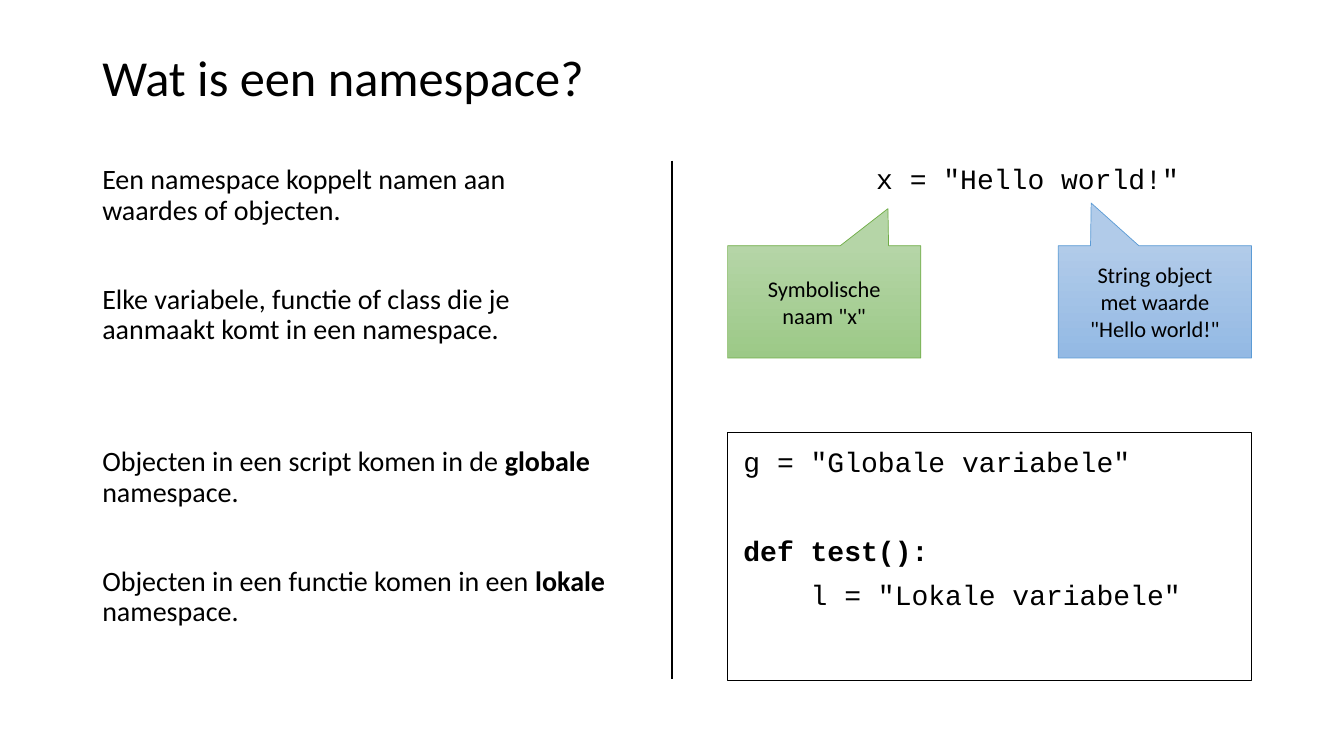
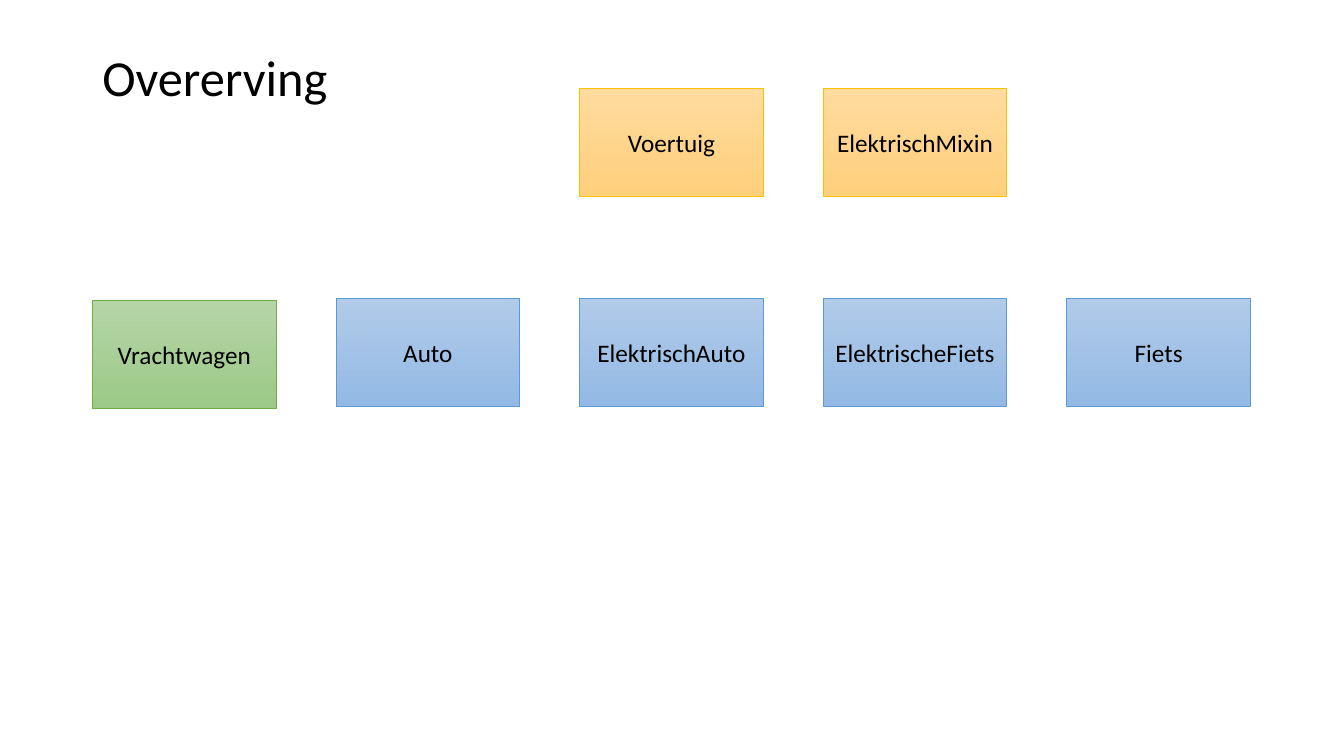
from lxml import etree
from pptx import Presentation
from pptx.dml.color import RGBColor
from pptx.enum.shapes import MSO_CONNECTOR, MSO_SHAPE
from pptx.enum.text import MSO_ANCHOR, PP_ALIGN
from pptx.oxml.ns import qn
from pptx.util import Pt

PX = 9525  # 96 px to the inch
LEFT, CENTER = PP_ALIGN.LEFT, PP_ALIGN.CENTER
TOP, MIDDLE = MSO_ANCHOR.TOP, MSO_ANCHOR.MIDDLE
RECT, CALLOUT = MSO_SHAPE.RECTANGLE, MSO_SHAPE.RECTANGULAR_CALLOUT
BODY_FONT, CODE_FONT = "Calibri", "Courier New"
COLORS = {
    "text": "000000",
    "green": ("B5D5A7", "9CC987", "70AD47"),
    "blue": ("B1CBE9", "93B9E4", "5B9BD5"),
    "gold": ("FFDB9E", "FFD07C", "FFC000"),
}


def write(sp, paragraphs, size, font=BODY_FONT, align=LEFT, anchor=TOP, spacing=0.9):
    """Fill sp with paragraphs, each (space before, [(text, bold), ...])."""
    tf = sp.text_frame
    tf.word_wrap = True
    tf.vertical_anchor = anchor
    for i, (before, runs) in enumerate(paragraphs):
        p = tf.paragraphs[0] if i == 0 else tf.add_paragraph()
        p.alignment = align
        p.line_spacing = spacing
        p.space_before = Pt(before)
        p.font.size = Pt(size)
        p.font.name = font
        p.font.color.rgb = RGBColor.from_string(COLORS["text"])
        for text, bold in runs:
            r = p.add_run()
            r.text = text
            if bold:
                r.font.bold = True


def add_block(slide, kind, box, lines, color, size):
    """Add a gradient-filled shape with centred lines of text."""
    sp = slide.shapes.add_shape(kind, *(v * PX for v in box))
    sp.shadow.inherit = False
    start, end, edge = COLORS[color]
    sp.fill.gradient()
    sp.fill.gradient_angle = 270
    for stop, shade in zip(sp.fill.gradient_stops, (start, end)):
        stop.color.rgb = RGBColor.from_string(shade)
    sp.line.color.rgb = RGBColor.from_string(edge)
    sp.line.width = Pt(0.5)
    write(sp, [(0, [(line, False)]) for line in lines], size,
          align=CENTER, anchor=MIDDLE, spacing=1.0)
    return sp


prs = Presentation()
prs.slide_width, prs.slide_height = 1280 * PX, 720 * PX

slides = []
for title in ("Wat is een namespace?", "Overerving"):
    slide = prs.slides.add_slide(prs.slide_layouts[6])
    sp = slide.shapes.add_textbox(88 * PX, 38 * PX, 1104 * PX, 76 * PX)
    write(sp, [(0, [(title, False)])], 36, anchor=MIDDLE)
    slides.append(slide)
namespace, inheritance = slides

# Namespace: explanation on the left
sp = namespace.shapes.add_textbox(88 * PX, 153 * PX, 498 * PX, 495 * PX)
write(sp, [
    (0, [("Een namespace koppelt namen aan waardes of objecten.", False)]),
    (42, [("Elke variabele, functie of class die je aanmaakt komt in een namespace.", False)]),
    (73, [("Objecten in een script komen in de ", False), ("globale", True),
          (" namespace.", False)]),
    (42, [("Objecten in een functie komen in een ", False), ("lokale", True),
          (" namespace.", False)]),
], 20)

# Namespace: annotated assignment on the right
sp = namespace.shapes.add_textbox(825 * PX, 153 * PX, 316 * PX, 42 * PX)
write(sp, [(0, [('x = "Hello world!"', False)])], 20, CODE_FONT)

callouts = [
    (693, ["Symbolische", 'naam "x"'], "green", (0.33, -0.83)),
    (1008, ["String object", "met waarde", '"Hello world!"'], "blue", (-0.33, -0.88)),
]
for x, lines, color, tip in callouts:
    sp = add_block(namespace, CALLOUT, (x, 234, 184, 107), lines, color, 16)
    sp.adjustments[0], sp.adjustments[1] = tip

# Namespace: code sample
sp = namespace.shapes.add_shape(RECT, 693 * PX, 412 * PX, 499 * PX, 236 * PX)
sp.shadow.inherit = False
sp.fill.background()
sp.line.color.rgb = RGBColor.from_string(COLORS["text"])
sp.line.width = Pt(0.75)
tf = sp.text_frame
tf.margin_left = tf.margin_top = tf.margin_right = tf.margin_bottom = 15 * PX
write(sp, [
    (0, [('g = "Globale variabele"', False)]),
    (42, [("def test():", True)]),
    (10, [('    l = "Lokale variabele"', False)]),
], 20, CODE_FONT)

divider = namespace.shapes.add_connector(
    MSO_CONNECTOR.STRAIGHT, 640 * PX, 153 * PX, 640 * PX, 647 * PX)
divider.line.color.rgb = RGBColor.from_string(COLORS["text"])
divider.line.width = Pt(1.5)
etree.SubElement(divider._element.spPr, qn("a:effectLst"))

# Inheritance: classes as (column, top, name, colour)
classes = [
    (2, 84, "Voertuig", "gold"),
    (3, 84, "ElektrischMixin", "gold"),
    (0, 286, "Vrachtwagen", "green"),
    (1, 284, "Auto", "blue"),
    (2, 284, "ElektrischAuto", "blue"),
    (3, 284, "ElektrischeFiets", "blue"),
    (4, 284, "Fiets", "blue"),
]
for column, top, name, color in classes:
    add_block(inheritance, RECT, (88 + 232 * column, top, 175, 103), [name], color, 18)

prs.save("out.pptx")
